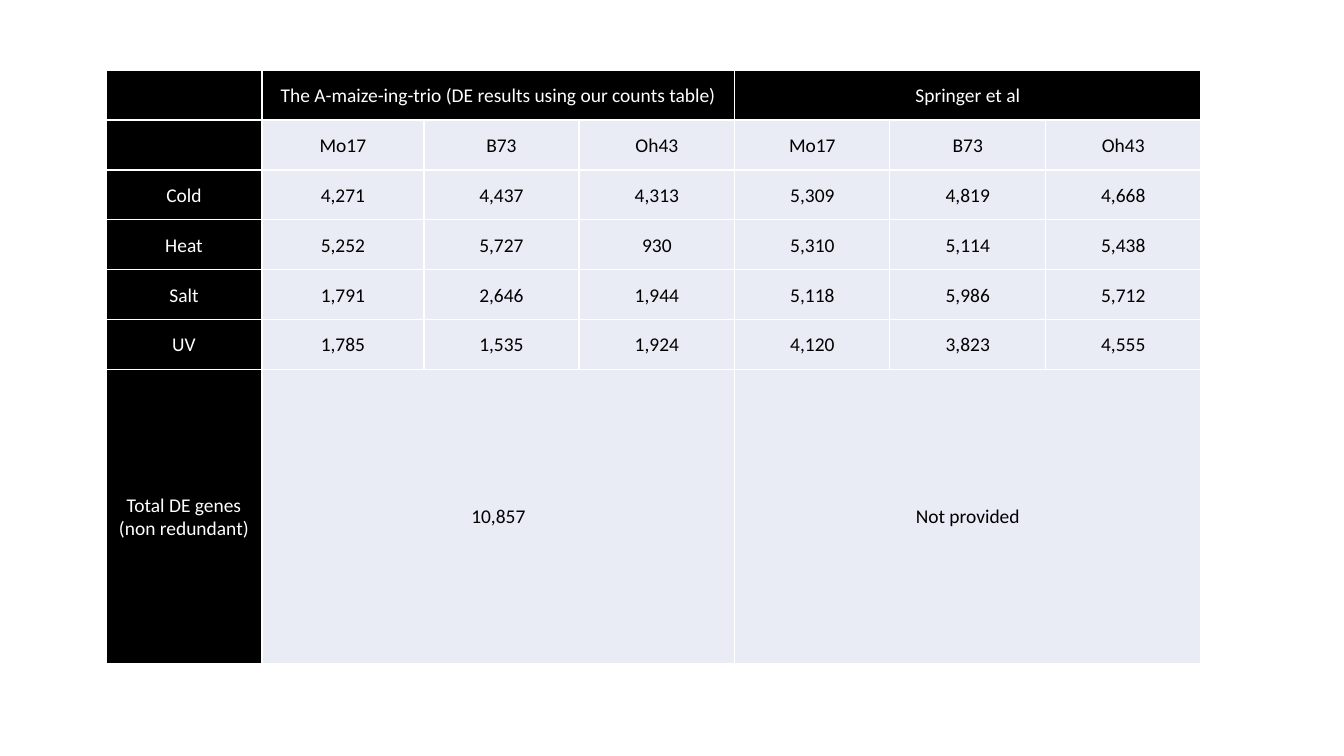
from dataclasses import dataclass

from lxml.etree import SubElement
from pptx import Presentation
from pptx.dml.color import RGBColor
from pptx.enum.text import MSO_ANCHOR, PP_ALIGN
from pptx.oxml.ns import qn
from pptx.util import Pt

SCALE = 914400 / 100.8
BLACK, WHITE, PALE = "000000", "FFFFFF", "E9EBF5"
WIDTHS = [156, 162, 155, 156, 155, 156, 155]
HEIGHTS = [50] * 6 + [294]
LINES = ["Mo17", "B73", "Oh43"]
GROUP = len(LINES)


@dataclass
class Look:
    """Fill and text colour of a cell."""
    fill: str
    ink: str


HEAD = Look(BLACK, WHITE)
BODY = Look(PALE, BLACK)


def px(count: int) -> int:
    """Turn pixels into EMU."""
    return round(count * SCALE)


def color(code: str) -> RGBColor:
    """Turn a hex string into a colour."""
    return RGBColor.from_string(code)


def spread(label: str, left: str, right: str) -> list[str]:
    """Make a row with one value for each group of lines."""
    gap = [""] * (GROUP - 1)
    return [label, left, *gap, right, *gap]


def edge(cell, code: str, points: float) -> None:
    """Draw all four borders of a cell, placed before its fill."""
    props = cell._tc.get_or_add_tcPr()
    for spot, side in enumerate(["lnL", "lnR", "lnT", "lnB"]):
        line = SubElement(props, qn(f"a:{side}"), w=str(Pt(points)))
        fill = SubElement(line, qn("a:solidFill"))
        SubElement(fill, qn("a:srgbClr"), val=code)
        props.insert(spot, line)


def paint(cell, text: str, look: Look) -> None:
    """Fill a cell and set its text."""
    cell.vertical_anchor = MSO_ANCHOR.MIDDLE
    cell.margin_left = cell.margin_right = cell.margin_top = px(1)
    cell.margin_bottom = 0
    cell.fill.solid()
    cell.fill.fore_color.rgb = color(look.fill)
    edge(cell, WHITE, 1)
    if not text:
        return
    cell.text = text
    for para in cell.text_frame.paragraphs:
        para.alignment = PP_ALIGN.CENTER
        para.font.name = "Calibri"
        para.font.size = Pt(13.9)
        para.font.color.rgb = color(look.ink)


ROWS = [
    spread("", "The A-maize-ing-trio (DE results using our counts table)",
           "Springer et al"),
    ["", *LINES, *LINES],
    ["Cold", "4,271", "4,437", "4,313", "5,309", "4,819", "4,668"],
    ["Heat", "5,252", "5,727", "930", "5,310", "5,114", "5,438"],
    ["Salt", "1,791", "2,646", "1,944", "5,118", "5,986", "5,712"],
    ["UV", "1,785", "1,535", "1,924", "4,120", "3,823", "4,555"],
    spread("Total DE genes\n(non redundant)", "10,857", "Not provided"),
]

deck = Presentation()
deck.slide_width, deck.slide_height = px(1344), px(756)
slide = deck.slides.add_slide(deck.slide_layouts[6])
table = slide.shapes.add_table(len(ROWS), len(WIDTHS), px(106), px(70),
                               px(sum(WIDTHS)), px(sum(HEIGHTS))).table
table.horz_banding = False

for col, width in zip(table.columns, WIDTHS):
    col.width = px(width)
for row, height in zip(table.rows, HEIGHTS):
    row.height = px(height)
for r, texts in enumerate(ROWS):
    for c, text in enumerate(texts):
        paint(table.cell(r, c), text, HEAD if r == 0 or c == 0 else BODY)
for r in (0, len(ROWS) - 1):
    for c in range(1, len(WIDTHS), GROUP):
        table.cell(r, c).merge(table.cell(r, c + GROUP - 1))

deck.save("out.pptx")
